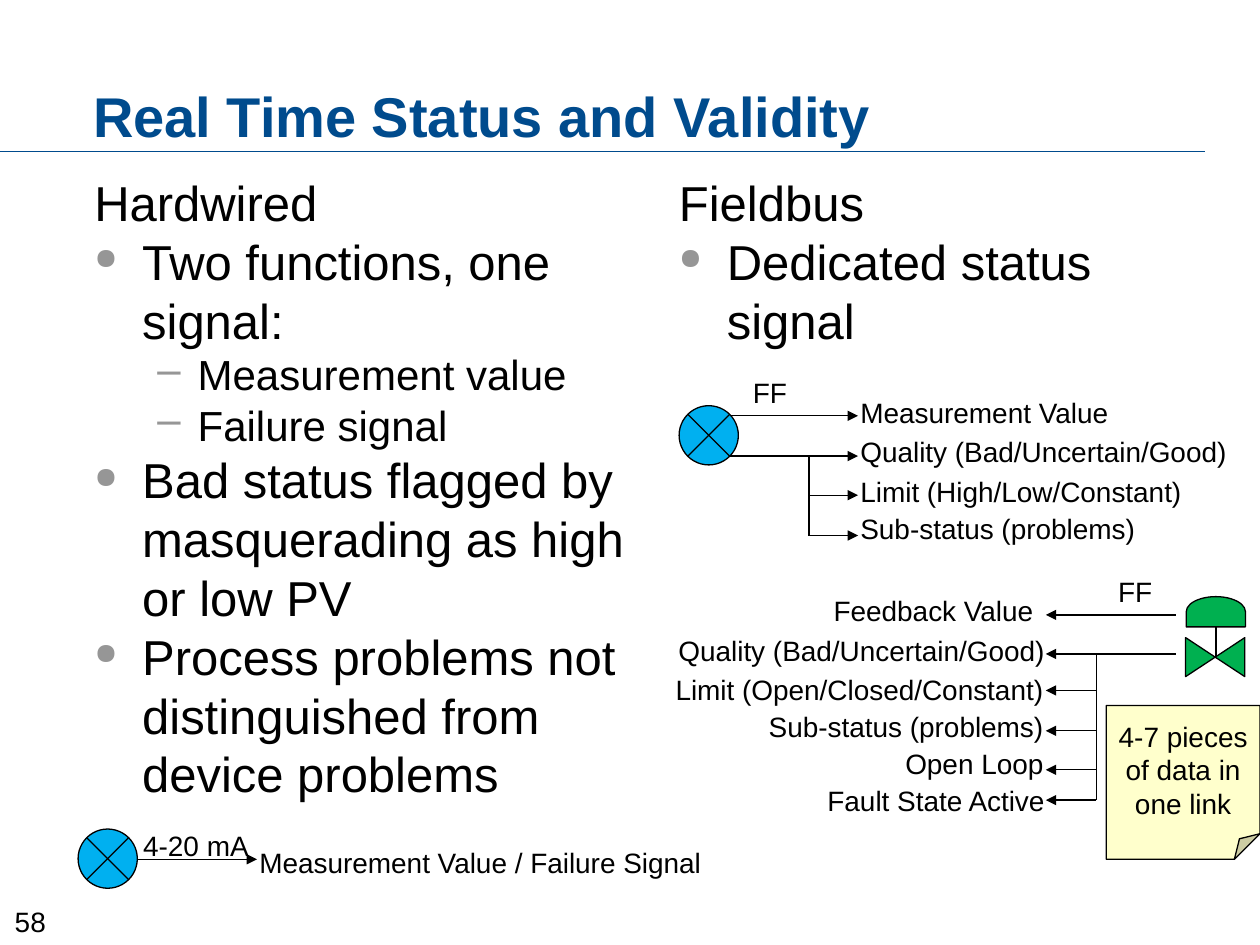
from lxml import etree
from pptx import Presentation
from pptx.dml.color import RGBColor
from pptx.enum.shapes import MSO_CONNECTOR, MSO_SHAPE
from pptx.enum.text import MSO_ANCHOR, MSO_AUTO_SIZE, PP_ALIGN
from pptx.oxml.ns import qn
from pptx.util import Inches, Pt

LEFT, CENTER, RIGHT = PP_ALIGN.LEFT, PP_ALIGN.CENTER, PP_ALIGN.RIGHT
TOP, MIDDLE, BOTTOM = MSO_ANCHOR.TOP, MSO_ANCHOR.MIDDLE, MSO_ANCHOR.BOTTOM
JUNCTION = MSO_SHAPE.FLOWCHART_SUMMING_JUNCTION
DELAY = MSO_SHAPE.FLOWCHART_DELAY
COLLATE = MSO_SHAPE.FLOWCHART_COLLATE
NOTE = MSO_SHAPE.FOLDED_CORNER
STRAIGHT = MSO_CONNECTOR.STRAIGHT

BLACK, BLUE, GRAY = "000000", "004B8D", "969696"
SKY, GREEN, YELLOW = "00B0F0", "00B050", "FFFFCC"
LABEL_HEIGHT = 0.37

HARDWIRED = [
    ("Hardwired", None),
    ("Two functions, one signal:", 0),
    ("Measurement value", 1),
    ("Failure signal", 1),
    ("Bad status flagged by masquerading as high or low PV", 0),
    ("Process problems not distinguished from device problems", 0),
]
FIELDBUS = [("Fieldbus", None), ("Dedicated status signal", 0)]

TRANSMITTER_LABELS = [
    ("Measurement Value", 3.09, 2.19),
    ("Quality (Bad/Uncertain/Good)", 3.4, 3.15),
    ("Limit (High/Low/Constant)", 3.72, 2.78),
    ("Sub-status (problems)", 4.01, 2.41),
]
VALVE_LABELS = [
    ("Feedback Value", 6.5, 4.66, 1.8),
    ("Quality (Bad/Uncertain/Good)", 5.24, 4.98, 3.15),
    ("Limit (Open/Closed/Constant)", 5.22, 5.29, 3.16),
    ("Sub-status (problems)", 5.97, 5.58, 2.41),
    ("Open Loop", 7.07, 5.88, 1.31),
    ("Fault State Active", 6.44, 6.17, 1.95),
]


def rgb(color):
    return RGBColor.from_string(color)


def format_paragraph(paragraph, text, size=16, color=BLACK, bold=False, align=LEFT):
    run = paragraph.add_run()
    run.text = text
    run.font.name = "Arial"
    run.font.size = Pt(size)
    run.font.bold = bold
    run.font.color.rgb = rgb(color)
    paragraph.alignment = align


def add_text(slide, text, left, top, width, height=LABEL_HEIGHT, wrap=False,
             anchor=TOP, line_spacing=None, **text_format):
    box = slide.shapes.add_textbox(Inches(left), Inches(top), Inches(width), Inches(height))
    frame = box.text_frame
    frame.word_wrap = wrap
    frame.auto_size = MSO_AUTO_SIZE.NONE if wrap else MSO_AUTO_SIZE.SHAPE_TO_FIT_TEXT
    frame.vertical_anchor = anchor
    paragraph = frame.paragraphs[0]
    paragraph.line_spacing = line_spacing
    format_paragraph(paragraph, text, **text_format)


def add_bullet(paragraph, level):
    paragraph.level = level
    margin, hanging, character = [(0.38, 0.38, "●"), (0.82, 0.32, "–")][level]
    properties = paragraph._p.get_or_add_pPr()
    properties.set("marL", str(Inches(margin)))
    properties.set("indent", str(-Inches(hanging)))
    color = etree.SubElement(properties, qn("a:buClr"))
    etree.SubElement(color, qn("a:srgbClr"), val=GRAY)
    if level == 0:
        etree.SubElement(properties, qn("a:buSzPct"), val="60000")
    etree.SubElement(properties, qn("a:buChar"), char=character)


def add_body(slide, items, left, height):
    box = slide.shapes.add_textbox(Inches(left), Inches(1.32), Inches(4.48), Inches(height))
    frame = box.text_frame
    frame.word_wrap = True
    for index, (text, level) in enumerate(items):
        paragraph = frame.add_paragraph() if index else frame.paragraphs[0]
        if level is not None:
            add_bullet(paragraph, level)
        format_paragraph(paragraph, text, size=24 if level == 1 else 28)


def add_line(slide, x1, y1, x2, y2, color=BLACK, arrow=False):
    connector = slide.shapes.add_connector(
        STRAIGHT, Inches(x1), Inches(y1), Inches(x2), Inches(y2))
    connector.line.color.rgb = rgb(color)
    connector.line.width = Pt(0.75)
    if arrow:
        line = connector.line._get_or_add_ln()
        etree.SubElement(line, qn("a:tailEnd"), type="triangle")
    etree.SubElement(connector._element.spPr, qn("a:effectLst"))


def add_shape(slide, kind, left, top, width, height, fill, rotation=0):
    shape = slide.shapes.add_shape(
        kind, Inches(left), Inches(top), Inches(width), Inches(height))
    shape.shadow.inherit = False
    shape.fill.solid()
    shape.fill.fore_color.rgb = rgb(fill)
    shape.line.color.rgb = rgb(BLACK)
    shape.line.width = Pt(0.75)
    shape.rotation = rotation
    return shape


def add_note(slide, text):
    note = add_shape(slide, NOTE, 8.78, 5.6, 1.22, 1.22, YELLOW)
    frame = note.text_frame
    frame.word_wrap = True
    frame.vertical_anchor = MIDDLE
    format_paragraph(frame.paragraphs[0], text, align=CENTER)


def add_hardwired_signal(slide):
    add_line(slide, 1.01, 6.82, 2.04, 6.82, arrow=True)
    add_shape(slide, JUNCTION, 0.62, 6.58, 0.47, 0.47, SKY)
    add_text(slide, "Measurement Value / Failure Signal", 1.96, 6.66, 3.75)
    add_text(slide, "4-20 mA", 1.03, 6.53, 1.05, align=CENTER)


def add_transmitter(slide):
    add_shape(slide, JUNCTION, 5.39, 3.22, 0.47, 0.47, SKY)
    for start, y in [(5.79, 3.3), (5.79, 3.62), (6.42, 3.93), (6.42, 4.25)]:
        add_line(slide, start, y, 6.81, y, arrow=True)
    add_line(slide, 6.42, 3.62, 6.42, 4.25)
    add_text(slide, "FF", 5.87, 2.93, 0.48, align=CENTER)
    for text, top, width in TRANSMITTER_LABELS:
        add_text(slide, text, 6.73, top, width)


def add_valve(slide):
    add_shape(slide, DELAY, 9.53, 4.62, 0.24, 0.47, GREEN, rotation=270)
    add_shape(slide, COLLATE, 9.49, 4.98, 0.31, 0.47, GREEN, rotation=270)
    add_line(slide, 9.65, 5.21, 9.65, 4.98)
    for y in (4.88, 5.19):
        add_line(slide, 9.33, y, 8.3, y, arrow=True)
    for y in (5.48, 5.8, 6.11, 6.35):
        add_line(slide, 8.7, y, 8.3, y, arrow=True)
    add_line(slide, 8.7, 5.19, 8.7, 6.35)
    add_text(slide, "FF", 8.77, 4.51, 0.48, align=CENTER)
    for text, left, top, width in VALVE_LABELS:
        add_text(slide, text, left, top, width, align=RIGHT)


def main():
    presentation = Presentation()
    presentation.slide_width = Inches(10)
    presentation.slide_height = Inches(7.5)
    slide = presentation.slides.add_slide(presentation.slide_layouts[6])
    add_text(slide, "58", 0, 7.13, 0.48, align=CENTER)
    add_line(slide, 0, 1.2, 9.56, 1.2, color=BLUE)
    add_text(slide, "Real Time Status and Validity", 0.64, 0.44, 9.2, 0.79, wrap=True,
             anchor=BOTTOM, line_spacing=0.85, size=32, color=BLUE, bold=True)
    add_body(slide, HARDWIRED, 0.65, 0.7)
    add_body(slide, FIELDBUS, 5.29, 1.25)
    add_hardwired_signal(slide)
    add_transmitter(slide)
    add_note(slide, "4-7 pieces of data in one link")
    add_valve(slide)
    presentation.save("out.pptx")


if __name__ == "__main__":
    main()
